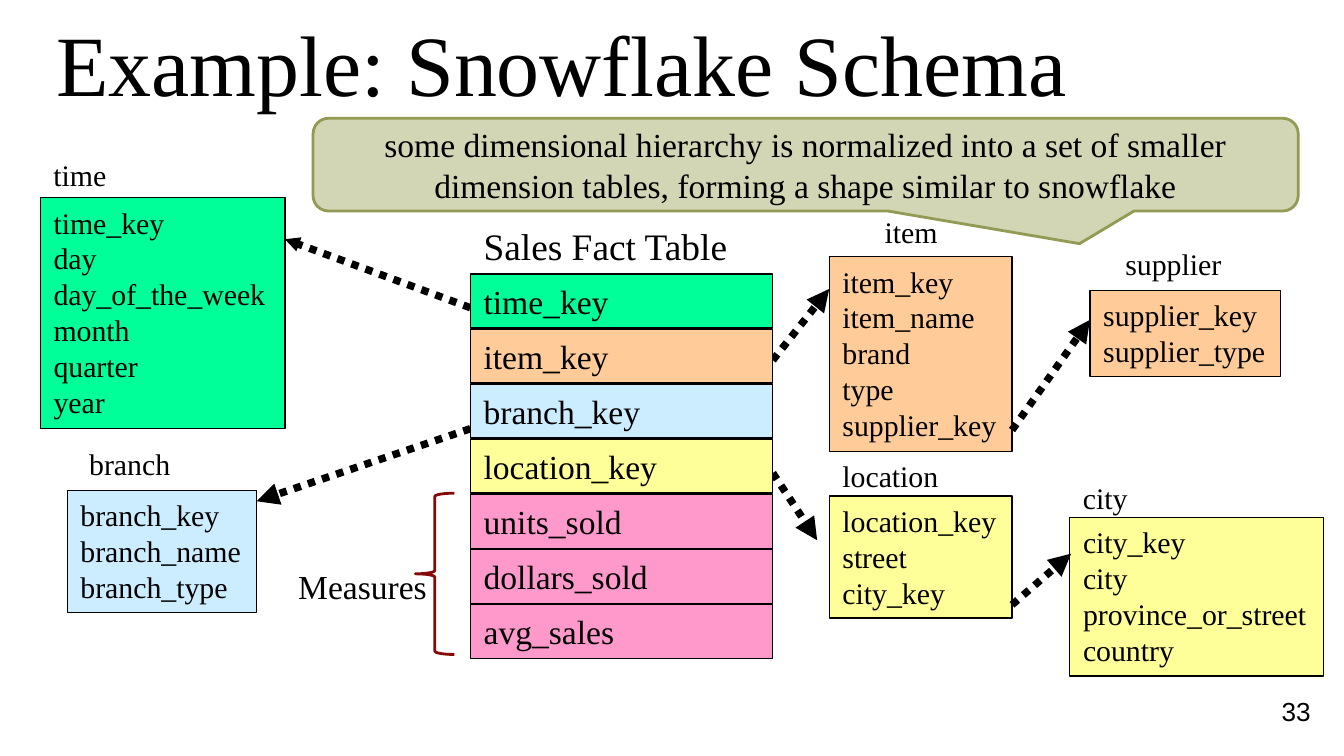
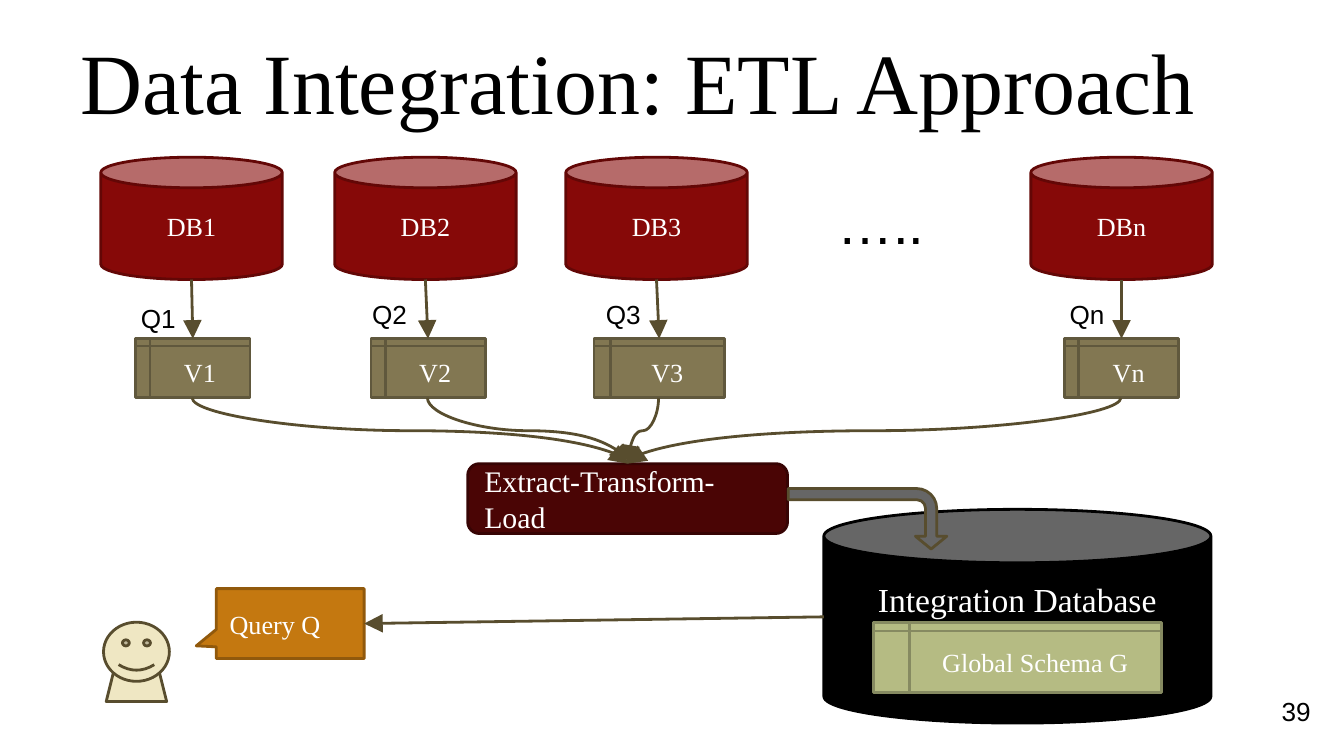
"""Builds two slides: a snowflake schema and the ETL approach to data integration."""
from dataclasses import dataclass

from lxml import etree
from pptx import Presentation
from pptx.dml.color import RGBColor
from pptx.enum.shapes import MSO_CONNECTOR, MSO_SHAPE
from pptx.enum.text import MSO_ANCHOR, PP_ALIGN
from pptx.oxml.ns import qn
from pptx.util import Emu, Pt

EMU_PER_PX = 9144
SLIDE_W = 1000
SERIF, SANS = "Times New Roman", "Arial"
TITLE_SIZE, NUMBER_SIZE = 46, 14
HALF_TURN = 180
ANGLE_UNIT = 60000

BLACK = RGBColor(0x00, 0x00, 0x00)
WHITE = RGBColor(0xFF, 0xFF, 0xFF)
GREEN = RGBColor(0x00, 0xFF, 0x99)
ORANGE = RGBColor(0xFF, 0xCC, 0x99)
BLUE = RGBColor(0xCC, 0xEC, 0xFF)
YELLOW = RGBColor(0xFF, 0xFF, 0x99)
PINK = RGBColor(0xFF, 0x99, 0xCC)
SAGE, SAGE_EDGE = RGBColor(0xD3, 0xD6, 0xB5), RGBColor(0x93, 0x9A, 0x54)
RED, RED_EDGE = RGBColor(0x86, 0x09, 0x08), RGBColor(0x63, 0x07, 0x06)
MAROON, MAROON_EDGE = RGBColor(0x4A, 0x05, 0x05), RGBColor(0x37, 0x04, 0x04)
OLIVE, OLIVE_EDGE = RGBColor(0x82, 0x77, 0x52), RGBColor(0x60, 0x58, 0x3D)
MOSS, MOSS_EDGE = RGBColor(0xB5, 0xBB, 0x83), RGBColor(0x86, 0x8A, 0x61)
AMBER, AMBER_EDGE = RGBColor(0xC4, 0x78, 0x10), RGBColor(0x91, 0x59, 0x0C)
CREAM = RGBColor(0xEF, 0xE7, 0xC3)
BROWN = RGBColor(0x58, 0x4D, 0x2E)
GREY = RGBColor(0x66, 0x66, 0x66)

LEFT, CENTER, RIGHT = PP_ALIGN.LEFT, PP_ALIGN.CENTER, PP_ALIGN.RIGHT
TOP, MIDDLE, BOTTOM = MSO_ANCHOR.TOP, MSO_ANCHOR.MIDDLE, MSO_ANCHOR.BOTTOM
STRAIGHT, CURVE = MSO_CONNECTOR.STRAIGHT, MSO_CONNECTOR.CURVE
RECT, ROUND_RECT = MSO_SHAPE.RECTANGLE, MSO_SHAPE.ROUNDED_RECTANGLE
CALLOUT = MSO_SHAPE.ROUNDED_RECTANGULAR_CALLOUT
CAN, STORAGE = MSO_SHAPE.CAN, MSO_SHAPE.FLOWCHART_INTERNAL_STORAGE
BRACE, BENT_ARROW = MSO_SHAPE.LEFT_BRACE, MSO_SHAPE.BENT_ARROW
TRAPEZOID, SMILEY = MSO_SHAPE.TRAPEZOID, MSO_SHAPE.SMILEY_FACE

SIDE_TOP, SIDE_RIGHT = 0, 3


@dataclass(frozen=True)
class Box:
    """Position and size in px."""
    x: int
    y: int
    w: int
    h: int


@dataclass(frozen=True)
class Style:
    """Look and placement of a block of text."""
    size: int
    color: RGBColor = BLACK
    font: str = SERIF
    align: PP_ALIGN = LEFT
    anchor: MSO_ANCHOR = TOP
    pad_top: int = 5
    pad_bottom: int = 5
    wrap: bool = True


@dataclass(frozen=True)
class Dimension:
    """A dimension table and its caption."""
    box: Box
    fill: RGBColor
    columns: tuple[str, ...]
    name: str
    name_box: Box
    name_style: Style


@dataclass(frozen=True)
class KeyLink:
    """A dotted arrow from a key to its table."""
    x1: int
    y1: int
    x2: int
    y2: int
    head: str = "med"


@dataclass(frozen=True)
class Source:
    """A source database with its query and view."""
    suffix: str
    db_x: int
    view_x: int
    view_w: int
    query_x: int
    query_y: int


FIELD = Style(16, wrap=False)
NAME_CENTER = Style(16, align=CENTER, wrap=False)
NAME_MIDDLE = Style(16, align=CENTER, anchor=MIDDLE, wrap=False)
FACT = Style(18)
NODE = Style(14, WHITE, align=CENTER, anchor=MIDDLE, pad_top=10, pad_bottom=10)
QUERY = Style(14, font=SANS, pad_top=10, pad_bottom=10)

DIMENSIONS = (
    Dimension(Box(30, 147, 182, 172), GREEN,
              ("time_key", "day", "day_of_the_week", "month", "quarter", "year"),
              "time", Box(30, 112, 60, 37), FIELD),
    Dimension(Box(617, 369, 136, 91), YELLOW, ("location_key", "street", "city_key"),
              "location", Box(617, 336, 93, 37), FIELD),
    Dimension(Box(617, 191, 136, 145), ORANGE,
              ("item_key", "item_name", "brand", "type", "supplier_key"),
              "item", Box(648, 154, 60, 37), NAME_MIDDLE),
    Dimension(Box(50, 365, 141, 91), BLUE, ("branch_key", "branch_name", "branch_type"),
              "branch", Box(56, 327, 81, 37), NAME_CENTER),
    Dimension(Box(811, 216, 142, 64), ORANGE, ("supplier_key", "supplier_type"),
              "supplier", Box(827, 178, 92, 37), NAME_MIDDLE),
    Dimension(Box(796, 385, 189, 118), YELLOW,
              ("city_key", "city", "province_or_street", "country"),
              "city", Box(796, 352, 54, 37), FIELD),
)
FACT_ROWS = (
    ("time_key", GREEN), ("item_key", ORANGE), ("branch_key", BLUE),
    ("location_key", YELLOW), ("units_sold", PINK), ("dollars_sold", PINK),
    ("avg_sales", PINK),
)
FACT_X, FACT_Y, FACT_W, FACT_H, FACT_PITCH = 350, 204, 225, 40, 41
KEY_LINKS = (
    KeyLink(350, 319, 191, 373), KeyLink(350, 229, 212, 178, "sm"),
    KeyLink(575, 352, 608, 402), KeyLink(575, 268, 617, 215),
    KeyLink(753, 320, 811, 238), KeyLink(753, 450, 797, 412),
)
SOURCES = (
    Source("1", 75, 101, 85, 95, 215),
    Source("2", 249, 276, 85, 267, 212),
    Source("3", 421, 442, 97, 441, 212),
    Source("n", 767, 792, 85, 786, 212),
)
DB_Y, DB_W, DB_H = 117, 135, 91
VIEW_Y, VIEW_H = 252, 44
ETL = Box(348, 345, 238, 52)


def px(n: float) -> Emu:
    """Turn px into EMU."""
    return Emu(round(n * EMU_PER_PX))


def frame(box: Box) -> tuple[Emu, Emu, Emu, Emu]:
    """Return a box as EMU lengths."""
    return px(box.x), px(box.y), px(box.w), px(box.h)


def write(sp, lines: tuple[str, ...], style: Style) -> None:
    """Fill a shape with one paragraph per line."""
    tf = sp.text_frame
    tf.word_wrap = style.wrap
    tf.vertical_anchor = style.anchor
    tf.margin_left = tf.margin_right = px(10)
    tf.margin_top, tf.margin_bottom = px(style.pad_top), px(style.pad_bottom)
    for i, line in enumerate(lines):
        p = tf.add_paragraph() if i else tf.paragraphs[0]
        p.alignment = style.align
        r = p.add_run()
        r.text = line
        r.font.size = Pt(style.size)
        r.font.name = style.font
        r.font.color.rgb = style.color


def add_text(s, box: Box, text: str, style: Style) -> None:
    """Add a text box."""
    write(s.shapes.add_textbox(*frame(box)), (text,), style)


def add_node(s, kind: MSO_SHAPE, box: Box, fill: RGBColor | None, edge: RGBColor,
             lines: tuple[str, ...] = (), style: Style = NODE,
             adj: tuple[float, ...] = (), weight: float = 1.5):
    """Add a preset shape with optional text."""
    sp = s.shapes.add_shape(kind, *frame(box))
    sp.shadow.inherit = False
    if fill is None:
        sp.fill.background()
    else:
        sp.fill.solid()
        sp.fill.fore_color.rgb = fill
    sp.line.color.rgb = edge
    sp.line.width = Pt(weight)
    for i, value in enumerate(adj):
        sp.adjustments[i] = value
    if lines:
        write(sp, lines, style)
    return sp


def add_arrow(s, x1: float, y1: float, x2: float, y2: float, color: RGBColor = BROWN,
              weight: float = 1.5, dash: str = "", head: str = "lg",
              kind: MSO_CONNECTOR = STRAIGHT):
    """Add a connector with a triangle at its end."""
    c = s.shapes.add_connector(kind, px(x1), px(y1), px(x2), px(y2))
    c.line.color.rgb = color
    c.line.width = Pt(weight)
    ln = c.element.spPr.find(qn("a:ln"))
    if dash:
        etree.SubElement(ln, qn("a:prstDash"), val=dash)
    etree.SubElement(ln, qn("a:tailEnd"), type="triangle", w=head, len=head)
    etree.SubElement(c.element.spPr, qn("a:effectLst"))
    return c


def add_down_curve(s, x1: int, y1: int, x2: int, y2: int) -> None:
    """Add an S-curve that leaves and arrives vertically."""
    cx, cy = (x1 + x2) / 2, (y1 + y2) / 2
    side = (y2 - y1) / 2
    rise = abs(x2 - x1) / 2
    angle = 90
    if x2 > x1:
        side, angle = -side, angle + HALF_TURN
    c = add_arrow(s, cx - side, cy - rise, cx + side, cy + rise, kind=CURVE)
    c.element.spPr.find(qn("a:xfrm")).set("rot", str(angle * ANGLE_UNIT))


def add_slide(prs, title: str, title_box: Box, title_style: Style, number: str):
    """Add a blank slide with its title and number."""
    s = prs.slides.add_slide(prs.slide_layouts[6])
    add_text(s, title_box, title, title_style)
    add_text(s, Box(823, 517, 162, 24), number,
             Style(NUMBER_SIZE, font=SANS, align=RIGHT, anchor=MIDDLE))
    return s


def build_snowflake(prs) -> None:
    """Draw the snowflake schema."""
    s = add_slide(prs, "Example: Snowflake Schema", Box(32, 20, 900, 52),
                  Style(TITLE_SIZE, anchor=MIDDLE), "33")
    for d in DIMENSIONS:
        add_node(s, RECT, d.box, d.fill, BLACK, d.columns, FIELD, weight=0.75)
        add_text(s, d.name_box, d.name, d.name_style)
    add_text(s, Box(350, 161, 206, 44), "Sales Fact Table", Style(20, wrap=False))
    add_text(s, Box(212, 416, 132, 40), "Measures", FACT)
    for k in KEY_LINKS:
        add_arrow(s, k.x1, k.y1, k.x2, k.y2, BLACK, 4, "sysDot", k.head)
    add_node(s, CALLOUT, Box(233, 88, 733, 69), SAGE, SAGE_EDGE,
             ("some dimensional hierarchy is normalized into a set of smaller "
              "dimension tables, forming a shape similar to snowflake",),
             Style(18, align=CENTER, anchor=MIDDLE), (0.278, 0.852, 0.167))
    for i, (column, fill) in enumerate(FACT_ROWS):
        add_node(s, RECT, Box(FACT_X, FACT_Y + i * FACT_PITCH, FACT_W, FACT_H),
                 fill, BLACK, (column,), FACT, weight=0.75)
    add_node(s, BRACE, Box(309, 367, 29, 120), None, RED)


def build_etl(prs) -> None:
    """Draw the flow from source databases to the integration database."""
    s = add_slide(prs, "Data Integration: ETL Approach", Box(50, 17, 900, 91),
                  Style(TITLE_SIZE, anchor=BOTTOM, pad_top=10, pad_bottom=10), "39")
    add_node(s, ROUND_RECT, ETL, MAROON, MAROON_EDGE, ("Extract-Transform-Load",),
             Style(16, WHITE, anchor=MIDDLE, pad_top=10, pad_bottom=10))
    for src in SOURCES:
        add_node(s, CAN, Box(src.db_x, DB_Y, DB_W, DB_H), RED, RED_EDGE,
                 (f"DB{src.suffix}",), adj=(0.25,))
        view = add_node(s, STORAGE, Box(src.view_x, VIEW_Y, src.view_w, VIEW_H),
                        OLIVE, OLIVE_EDGE, (f"V{src.suffix}",))
        mid = src.view_x + src.view_w // 2
        c = add_arrow(s, src.db_x + DB_W / 2, DB_Y + DB_H, mid, VIEW_Y)
        c.end_connect(view, SIDE_TOP)
        add_text(s, Box(src.query_x, src.query_y, 57, 37), f"Q{src.suffix}", QUERY)
        add_down_curve(s, mid, VIEW_Y + VIEW_H, ETL.x + ETL.w // 2, ETL.y)
    add_text(s, Box(613, 130, 97, 67), "…..",
             Style(30, font=SANS, pad_top=10, pad_bottom=10))

    add_node(s, TRAPEZOID, Box(79, 498, 45, 24), CREAM, BROWN, adj=(0.25,))
    add_node(s, SMILEY, Box(77, 463, 49, 44), CREAM, BROWN, adj=(0.047,))
    query = add_node(s, CALLOUT, Box(161, 438, 110, 52), AMBER, AMBER_EDGE, ("Query Q",),
                     Style(14, WHITE, anchor=MIDDLE, pad_top=10, pad_bottom=10),
                     (-0.636, 0.319, 0))

    add_node(s, CAN, Box(613, 379, 288, 159), BLACK, BLACK, ("Integration Database",),
             Style(18, WHITE, align=CENTER, pad_top=12), (0.25,))
    add_node(s, STORAGE, Box(650, 463, 214, 52), MOSS, MOSS_EDGE, ("Global Schema G",))
    bend = add_node(s, BENT_ARROW, Box(623, 327, 45, 118), GREY, BROWN,
                    adj=(0.185, 0.26, 0.211, 0.331))
    bend.rotation = 90
    add_arrow(s, 613, 459, 271, 464).end_connect(query, SIDE_RIGHT)


def main() -> None:
    """Build and save the deck."""
    prs = Presentation()
    prs.slide_width = px(SLIDE_W)
    prs.slide_height = px(SLIDE_W * 9 / 16)
    build_snowflake(prs)
    build_etl(prs)
    prs.save("out.pptx")


if __name__ == "__main__":
    main()
